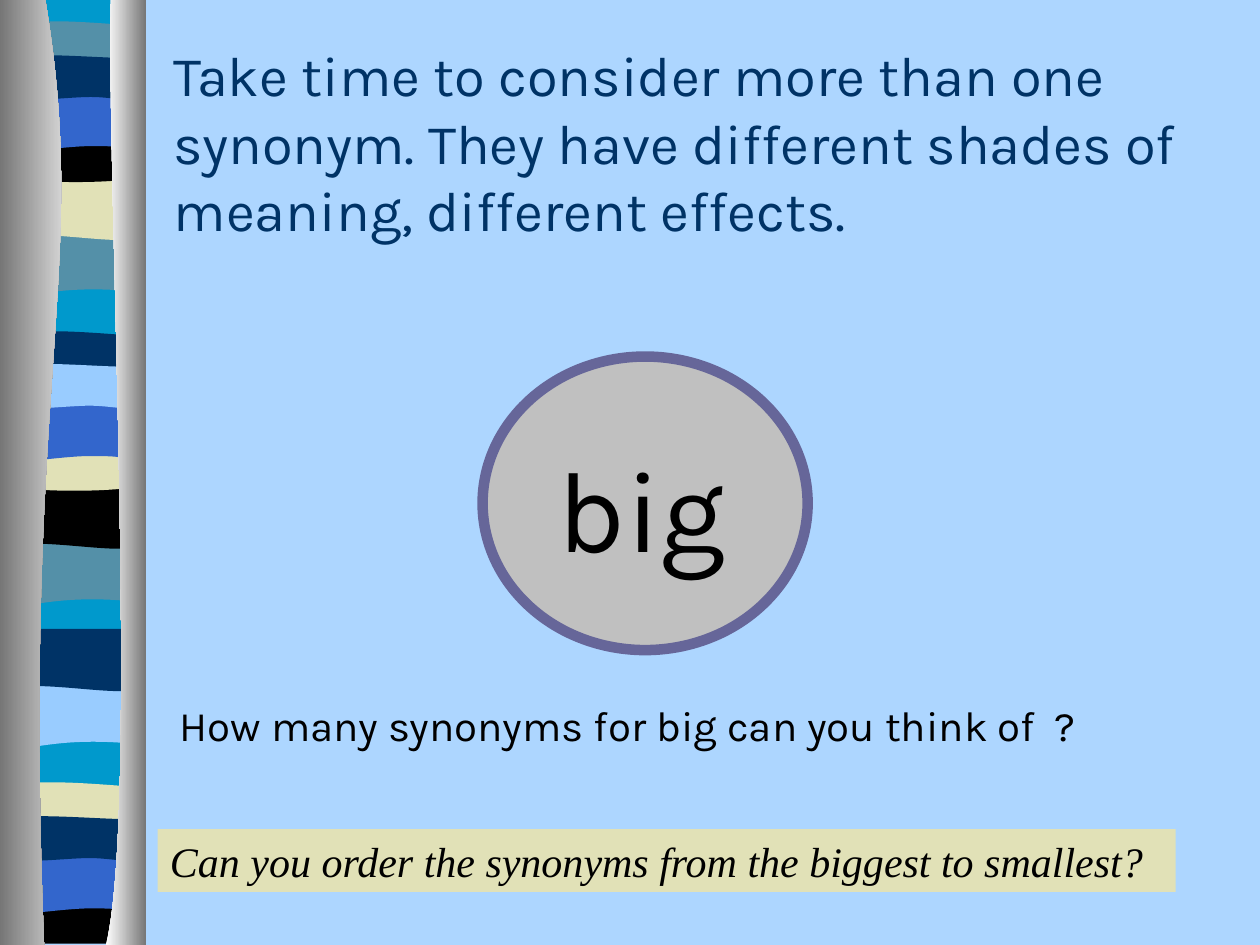
"""Build the synonyms slide: a striped curtain border, a title and a prompt word."""
from dataclasses import dataclass
from typing import NamedTuple

from lxml.etree import SubElement
from pptx import Presentation
from pptx.dml.color import RGBColor as RGB
from pptx.enum.shapes import MSO_SHAPE
from pptx.enum.text import MSO_ANCHOR as Anchor, MSO_AUTO_SIZE as AutoSize, PP_ALIGN as Align
from pptx.oxml.ns import qn
from pptx.util import Inches, Pt


@dataclass(frozen=True)
class Theme:
    """Colours, fonts and type sizes of the slide."""
    sky: str = "ADD6FF"
    pale: str = "99CCFF"
    cyan: str = "0099CC"
    teal: str = "5490A8"
    cream: str = "E1E1B7"
    blue: str = "3366CC"
    navy: str = "003366"
    black: str = "000000"
    silver: str = "C0C0C0"
    violet: str = "666699"
    grey: str = "767676"
    white: str = "FFFFFF"
    sans: str = "Karla"
    serif: str = "Times New Roman"
    title: int = 32
    word: int = 66
    body: int = 24


T = Theme()


class Band(NamedTuple):
    """One stripe: its outline, left and top in inches, and colour."""
    outline: str
    left: float
    top: float
    color: str


class Label(NamedTuple):
    """A text box with its frame in inches and its type."""
    text: str
    frame: tuple
    size: int
    font: str
    italic: bool = False
    fill: str = ""


OUTLINES = {
    "panel": [(1.08, 0), (1.08, 7.47), (0, 7.47), (0, 0)],
    "swell": [(1.08, 0), (1.08, 0.47), (0.33, 0.39, 0.18, 0.55, 0, 0.47), (0, 0)],
    "dip": [(1.08, 0), (1.08, 0.47), (0.9, 0.55, 0.33, 0.41, 0, 0.47), (0, 0)],
    "lens": [(1.08, 0.05), (1.08, 0.29), (0.9, 0.34, 0.18, 0.34, 0, 0.29), (0, 0.05),
             (0.07, 0, 0.23, 0.01, 0.41, 0.01), (0.59, 0.01, 0.94, 0.04, 1.08, 0.05)],
    "bowl": [(1.08, 0), (1.08, 0.32), (0.9, 0.38, 0.18, 0.38, 0, 0.32), (0, 0),
             (0.66, 0.05, 0.85, 0, 1.08, 0)],
    "arch": [(1.08, 0), (1.08, 0.47), (0.91, 0.42, 0.84, 0.42, 0.66, 0.42),
             (0.48, 0.42, 0.16, 0.47, 0, 0.47), (0, 0)],
    "ribbon": [(1.08, 0.05), (1.08, 0.36), (1.01, 0.41, 0.84, 0.36, 0.66, 0.36),
               (0.48, 0.36, 0.11, 0.41, 0, 0.36), (0, 0.05),
               (0.15, 0, 0.73, 0.05, 0.91, 0.05), (1.09, 0.05, 1.05, 0.05, 1.08, 0.05)],
    "hem": [(1.08, 0), (1.08, 0.37), (0, 0.37), (0, 0), (0.66, 0.05, 0.85, 0, 1.08, 0)],
    "left curtain": [(0.36, 0), (0.72, 2.16, 0.17, 2.96, 0.35, 7.5), (0, 7.5), (0, 0)],
    "right curtain": [(0.88, 0), (0.84, 1.25, 1.11, 6.46, 0.84, 7.5), (1.16, 7.5), (1.16, 0)],
}

BANDS = [
    Band("panel", 0.06, 0, T.cyan),
    Band("swell", 0.06, 1.85, T.teal),
    Band("dip", 0.06, 1.41, T.cream),
    Band("lens", 0.06, 0.16, T.teal),
    Band("bowl", 0.06, 1.08, T.black),
    Band("arch", 0.06, 0.74, T.blue),
    Band("ribbon", 0.06, 0.41, T.navy),
    Band("swell", 0.05, 4.31, T.teal),
    Band("dip", 0.05, 3.86, T.black),
    Band("lens", 0.05, 2.62, T.navy),
    Band("bowl", 0.05, 3.53, T.cream),
    Band("arch", 0.05, 3.2, T.blue),
    Band("ribbon", 0.05, 2.86, T.pale),
    Band("swell", 0.06, 5.44, T.pale),
    Band("dip", 0.06, 4.99, T.navy),
    Band("lens", 0.05, 6.2, T.cream),
    Band("hem", 0.05, 7.12, T.black),
    Band("arch", 0.05, 6.79, T.blue),
    Band("ribbon", 0.05, 6.45, T.navy),
]

CURTAINS = {"left curtain": (T.grey, T.white), "right curtain": (T.white, T.grey)}

LABELS = [
    Label("big", (4.33, 3.42, 1.58, 1.2), T.word, T.sans),
    Label("How many synonyms for big can you think of  ?", (1.33, 5.5, 8, 0.5), T.body, T.sans),
    Label("Can you order the synonyms from the biggest to smallest?",
          (1.25, 6.58, 8.08, 0.5), T.body, T.serif, True, T.cream),
]


def bend(sp, outline: list) -> None:
    """Join the three points of each curve segment into one cubic curve."""
    path = next(sp.element.iter(qn("a:path")))
    nodes = iter(list(path)[1:-1])
    close = path[-1]
    for seg in outline[1:]:
        group = [next(nodes) for _ in range(len(seg) // 2)]
        if len(group) == 3:
            curve = SubElement(path, qn("a:cubicBezTo"))
            close.addprevious(curve)
            for node in group:
                curve.append(node[0])
                path.remove(node)


def add_outline(border, name: str, left: float = 0, top: float = 0):
    """Draw a named outline without line or shadow."""
    outline = OUTLINES[name]
    points = [(Inches(left + seg[i]), Inches(top + seg[i + 1]))
              for seg in outline for i in range(0, len(seg), 2)]
    builder = border.shapes.build_freeform(*points[0], scale=1.0)
    builder.add_line_segments(points[1:], close=True)
    sp = builder.convert_to_shape()
    bend_order(sp, outline)
    sp.shadow.inherit = False
    sp.line.fill.background()
    return sp


def bend_order(sp, outline: list) -> None:
    """Bend the curves, then restore the drawing order of all segments."""
    path = next(sp.element.iter(qn("a:path")))
    lines = [node for node in path if node.tag == qn("a:lnTo")]
    bend(sp, outline)
    kept = iter([node for node in lines if node.getparent() is path])
    curves = iter(path.findall(qn("a:cubicBezTo")))
    close = path.find(qn("a:close"))
    for seg in outline[1:]:
        close.addprevious(next(kept if len(seg) == 2 else curves))


def add_band(border, band: Band) -> None:
    """Draw one stripe."""
    sp = add_outline(border, band.outline, band.left, band.top)
    sp.fill.solid()
    sp.fill.fore_color.rgb = RGB.from_string(band.color)


def add_curtain(border, name: str, colors: tuple) -> None:
    """Draw one curtain shaded from left to right."""
    sp = add_outline(border, name)
    sp.fill.gradient()
    sp.fill.gradient_angle = 0
    for stop, color in zip(sp.fill.gradient_stops, colors):
        stop.color.rgb = RGB.from_string(color)


def add_border(prs, s) -> None:
    """Group the stripes and curtains and move them to the slide master."""
    border = s.shapes.add_group_shape()
    for band in BANDS:
        add_band(border, band)
    for name, colors in CURTAINS.items():
        add_curtain(border, name, colors)
    prs.slide_master.shapes.element.insert(2, border.element)


def write(sp, text: str, size: int, font: str, color: str, italic: bool = False) -> None:
    """Put one left-aligned paragraph into a shape."""
    tf = sp.text_frame
    tf.text = text
    tf.word_wrap = True
    tf.auto_size = AutoSize.NONE
    p = tf.paragraphs[0]
    p.alignment = Align.LEFT
    f = p.runs[0].font
    f.size, f.name, f.italic = Pt(size), font, italic
    f.color.rgb = RGB.from_string(color)


def add_label(s, label: Label) -> None:
    """Draw one text box."""
    sp = s.shapes.add_textbox(*map(Inches, label.frame))
    if label.fill:
        sp.fill.solid()
        sp.fill.fore_color.rgb = RGB.from_string(label.fill)
    write(sp, label.text, label.size, label.font, T.black, label.italic)


def add_title(s, text: str) -> None:
    """Place and fill the title placeholder."""
    sp = s.shapes.title
    sp.left, sp.top, sp.width, sp.height = map(Inches, (1.28, 0.5, 8.5, 1.25))
    write(sp, text, T.title, T.sans, T.navy)
    sp.text_frame.vertical_anchor = Anchor.MIDDLE


def add_disc(s) -> None:
    """Draw the ringed ellipse behind the prompt word."""
    sp = s.shapes.add_shape(MSO_SHAPE.OVAL, *map(Inches, (3.83, 2.83, 2.58, 2.33)))
    sp.shadow.inherit = False
    sp.fill.solid()
    sp.fill.fore_color.rgb = RGB.from_string(T.silver)
    sp.line.color.rgb = RGB.from_string(T.violet)
    sp.line.width = Pt(6)


def main() -> None:
    """Build and save the slide."""
    prs = Presentation()
    prs.slide_width, prs.slide_height = Inches(10), Inches(7.5)
    s = prs.slides.add_slide(prs.slide_layouts.get_by_name("Title Only"))
    s.background.fill.solid()
    s.background.fill.fore_color.rgb = RGB.from_string(T.sky)
    add_border(prs, s)
    add_title(s, "Take time to consider more than one synonym. "
                 "They have different shades of meaning, different effects.")
    add_disc(s)
    for label in LABELS:
        add_label(s, label)
    prs.save("out.pptx")


if __name__ == "__main__":
    main()
